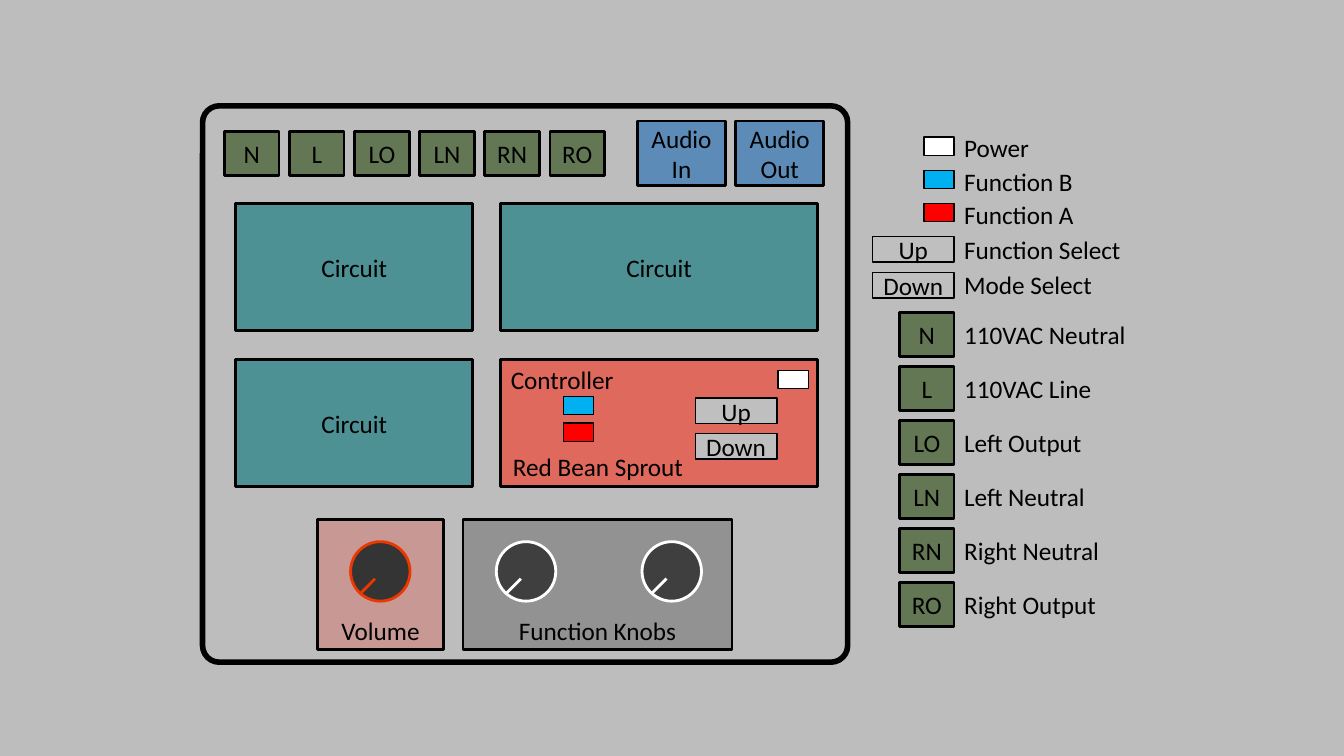
from lxml.etree import SubElement
from pptx import Presentation
from pptx.dml.color import RGBColor
from pptx.enum.shapes import MSO_CONNECTOR, MSO_SHAPE
from pptx.enum.text import MSO_ANCHOR, MSO_AUTO_SIZE, PP_ALIGN
from pptx.oxml.ns import qn
from pptx.util import Pt

BLACK = RGBColor(0x00, 0x00, 0x00)
WHITE = RGBColor(0xFF, 0xFF, 0xFF)
PAPER = RGBColor(0xBD, 0xBD, 0xBD)
BLUE = RGBColor(0x00, 0xB0, 0xF0)
RED = RGBColor(0xFF, 0x00, 0x00)
SILVER = RGBColor(0xBF, 0xBF, 0xBF)
GREEN = RGBColor(0x63, 0x77, 0x54)
STEEL = RGBColor(0x5C, 0x8B, 0xB7)
TEAL = RGBColor(0x4E, 0x91, 0x94)
CORAL = RGBColor(0xE0, 0x69, 0x5D)
GRAY = RGBColor(0x92, 0x92, 0x92)
PINK = RGBColor(0xC7, 0x98, 0x94)
ORANGE = RGBColor(0xEA, 0x38, 0x00)
DARK = RGBColor(0x34, 0x34, 0x34)
COAL = RGBColor(0x3F, 0x3F, 0x3F)

LEFT_COL, LEFT_WIDTH = 168.5, 169.2
RIGHT_COL, RIGHT_WIDTH = 357.8, 226.1
TOP_ROW, LOW_ROW, ROW_HEIGHT = 145.4, 257, 90.5
KNOB_ROW, KNOB_HEIGHT = 370.8, 92.9
LEGEND_EDGE, LABEL_LEFT = 681.5, 681.6
LAMP_WIDTH, KEY_WIDTH, PORT_WIDTH = 21.6, 58.3, 38.9


def set_font(frame, align):
    for par in frame.paragraphs:
        par.alignment = align
        par.font.name = "Calibri"
        par.font.size = Pt(18)
        par.font.color.rgb = BLACK


def add_box(shapes, left, top, width, height, fill, text="", weight=2,
            kind=MSO_SHAPE.RECTANGLE, edge=BLACK, anchor=MSO_ANCHOR.MIDDLE):
    box = shapes.add_shape(kind, Pt(left), Pt(top), Pt(width), Pt(height))
    box.shadow.inherit = False
    if fill is None:
        box.fill.background()
    else:
        box.fill.solid()
        box.fill.fore_color.rgb = fill
    box.line.color.rgb = edge
    box.line.width = Pt(weight)
    if text:
        frame = box.text_frame
        frame.text = text
        frame.vertical_anchor = anchor
        frame.margin_left = frame.margin_right = 0
        frame.margin_top = frame.margin_bottom = Pt(2.5)
        set_font(frame, PP_ALIGN.CENTER)
    return box


def add_label(shapes, left, top, width, text):
    label = shapes.add_textbox(Pt(left), Pt(top), Pt(width), Pt(29.1))
    frame = label.text_frame
    frame.text = text
    frame.word_wrap = False
    frame.auto_size = MSO_AUTO_SIZE.SHAPE_TO_FIT_TEXT
    set_font(frame, PP_ALIGN.LEFT)


def add_lamp(shapes, left, top, fill):
    add_box(shapes, left, top, LAMP_WIDTH, 13, fill, weight=1)


def add_key(shapes, left, top, text):
    add_box(shapes, left, top, KEY_WIDTH, 18.3, SILVER, text, weight=1)


def add_port(shapes, left, top, text):
    add_box(shapes, left, top, PORT_WIDTH, 31.7, GREEN, text)


def add_knob(shapes, left, fill, edge):
    top = 386.9
    add_box(shapes, left, top, 42.5, 42.5, fill, kind=MSO_SHAPE.OVAL, edge=edge)
    hand = shapes.add_connector(MSO_CONNECTOR.STRAIGHT, Pt(left + 7.5),
                                Pt(top + 36.5), Pt(left + 17.5), Pt(top + 26.5))
    hand.line.color.rgb = edge
    hand.line.width = Pt(2)
    SubElement(hand._element.spPr, qn("a:effectLst"))


def add_group(slide):
    return slide.shapes.add_group_shape().shapes


def draw_control(slide):
    shapes = add_group(slide)
    add_box(shapes, RIGHT_COL, LOW_ROW, RIGHT_WIDTH, ROW_HEIGHT, CORAL)
    add_lamp(shapes, 555.8, 264.7, WHITE)
    add_lamp(shapes, 402.5, 283.2, BLUE)
    add_lamp(shapes, 402.5, 302.2, RED)
    add_key(shapes, 496.6, 284.4, "Up")
    add_key(shapes, 496.6, 309.6, "Down")
    add_label(shapes, 359.3, 318.5, 137.5, "Red Bean Sprout")
    add_label(shapes, RIGHT_COL, 256.8, 88.6, "Controller")


def draw_panels(slide):
    for left, top, width in ((RIGHT_COL, TOP_ROW, RIGHT_WIDTH),
                             (LEFT_COL, TOP_ROW, LEFT_WIDTH),
                             (LEFT_COL, LOW_ROW, LEFT_WIDTH)):
        add_box(slide.shapes, left, top, width, ROW_HEIGHT, TEAL, "Circuit")


def draw_ports(slide):
    shapes = add_group(slide)
    for i, name in enumerate(("N", "L", "LO", "LN", "RN", "RO")):
        add_port(shapes, 160.4 + 46.5 * i, 93.8, name)
    jacks = add_group(slide)
    for i, name in enumerate(("In", "Out")):
        add_box(jacks, 455.3 + 70.2 * i, 86.4, 63, 46, STEEL, f"Audio\n{name}")


def draw_knobs(slide):
    shapes = add_group(slide)
    for left, width, fill, text in ((330.7, 192.2, GRAY, "Function Knobs"),
                                    (226.8, 90, PINK, "Volume")):
        add_box(shapes, left, KNOB_ROW, width, KNOB_HEIGHT, fill, text,
                anchor=MSO_ANCHOR.BOTTOM)
    add_knob(shapes, 250.4, DARK, ORANGE)
    add_knob(shapes, 354.5, COAL, WHITE)
    add_knob(shapes, 458.6, COAL, WHITE)


def draw_legend(slide):
    shapes = add_group(slide)
    lamps = ((WHITE, "Power", 61.2), (BLUE, "Function B", 92.9),
             (RED, "Function A", 93.6))
    for i, (fill, text, width) in enumerate(lamps):
        top = 97.9 + 23.75 * i
        add_lamp(shapes, LEGEND_EDGE - LAMP_WIDTH, top, fill)
        add_label(shapes, LABEL_LEFT, top - 6.7, width, text)
    keys = (("Up", "Function Select", 127.4), ("Down", "Mode Select", 107.3))
    for i, (name, text, width) in enumerate(keys):
        top = 169 + 25.5 * i
        add_key(shapes, LEGEND_EDGE - KEY_WIDTH, top, name)
        add_label(shapes, LABEL_LEFT, top - 5.4, width, text)
    ports = (("N", "110VAC Neutral", 131), ("L", "110VAC Line", 106.6),
             ("LO", "Left Output", 100.1), ("LN", "Left Neutral", 102.2),
             ("RN", "Right Neutral", 112.3), ("RO", "Right Output", 109.4))
    for i, (name, text, width) in enumerate(ports):
        top = 223 + 38.6 * i
        add_port(shapes, LEGEND_EDGE - PORT_WIDTH, top, name)
        add_label(shapes, LABEL_LEFT, top + 1.2, width, text)


def main():
    deck = Presentation()
    deck.slide_width, deck.slide_height = Pt(960), Pt(540)
    slide = deck.slides.add_slide(deck.slide_layouts[6])
    slide.background.fill.solid()
    slide.background.fill.fore_color.rgb = PAPER
    case = add_box(slide.shapes, 144.7, 75.6, 460.8, 397.4, None, weight=4,
                   kind=MSO_SHAPE.ROUNDED_RECTANGLE)
    case.adjustments[0] = 0.03
    draw_control(slide)
    draw_panels(slide)
    draw_ports(slide)
    draw_knobs(slide)
    draw_legend(slide)
    deck.save("out.pptx")


if __name__ == "__main__":
    main()
